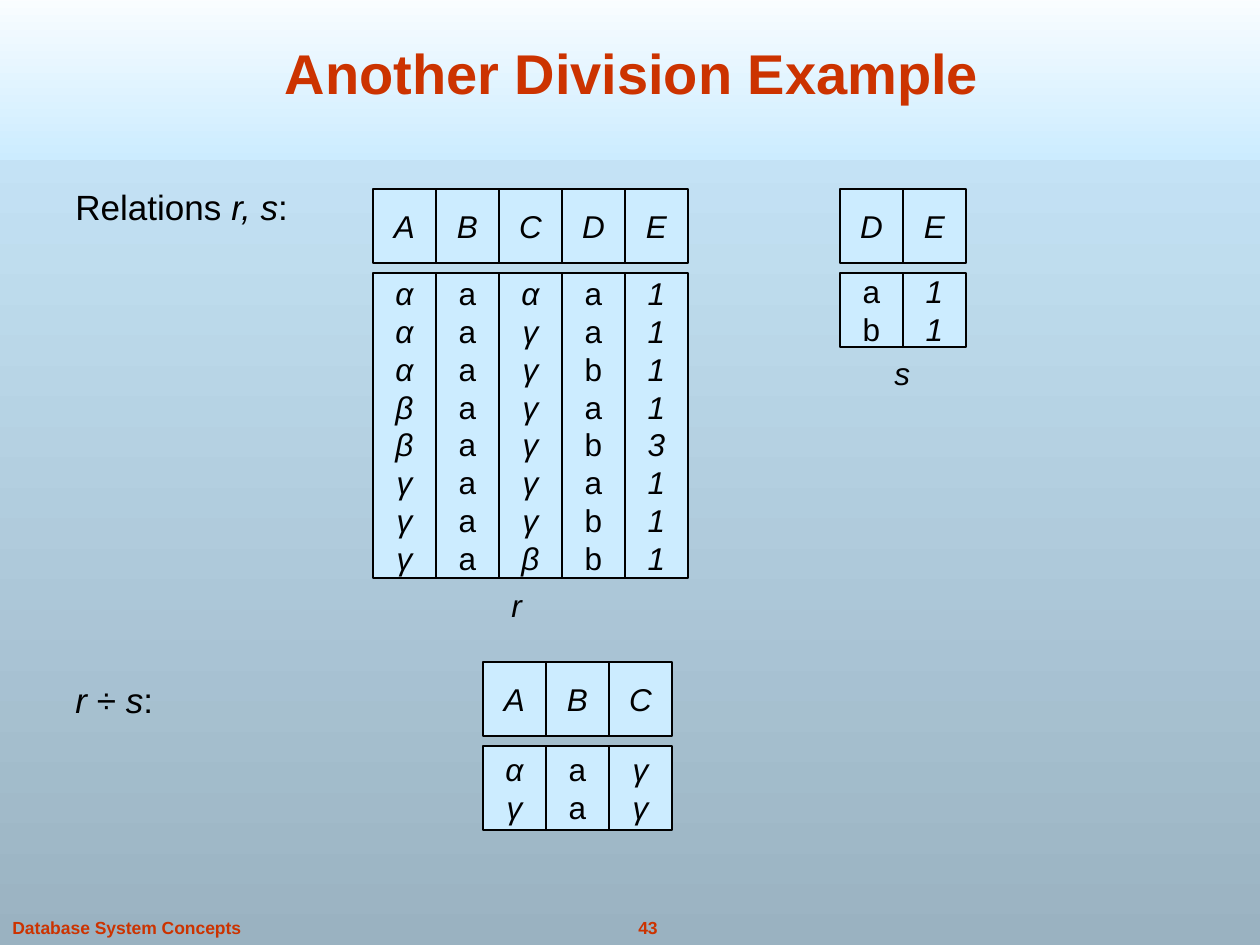
from pptx import Presentation
from pptx import util as u
from pptx.dml.color import RGBColor
from pptx.enum import shapes, text

PX_PER_INCH = 126
FONT = "Arial"
RED, BLACK, WHITE = "CC3300", "000000", "FFFFFF"
PALE_BLUE, SLATE = "CCECFF", "9AB2C1"
COL_W, HEAD_H, HEAD_STEP = 63, 74, 84


def px(n):
    return u.Emu(round(n * u.Inches(1) / PX_PER_INCH))


def rgb(value):
    return RGBColor.from_string(value)


def write(tf, lines, size=18, color=BLACK, bold=False, align="LEFT",
          anchor="TOP", wrap=False):
    """Fill a text frame, one paragraph per line; *stars* enclose italics."""
    tf.word_wrap = wrap
    tf.vertical_anchor = getattr(text.MSO_ANCHOR, anchor)
    for i, line in enumerate(lines):
        p = tf.paragraphs[0] if i == 0 else tf.add_paragraph()
        p.alignment = getattr(text.PP_ALIGN, align)
        for j, part in enumerate(line.split("*")):
            if not part:
                continue
            r = p.add_run()
            r.text = part
            r.font.name = FONT
            r.font.size = u.Pt(size)
            r.font.bold = bold
            r.font.italic = j % 2 == 1
            r.font.color.rgb = rgb(color)


def add_text(s, line, x, y, w, h, **fmt):
    box = s.shapes.add_textbox(px(x), px(y), px(w), px(h))
    write(box.text_frame, [line], **fmt)


def add_rect(s, x, y, w, h):
    sp = s.shapes.add_shape(shapes.MSO_SHAPE.RECTANGLE,
                            px(x), px(y), px(w), px(h))
    sp.shadow.inherit = False
    return sp


def fill_down(fill, top, bottom):
    """Vertical gradient from top to bottom."""
    fill.gradient()
    fill.gradient_angle = 270
    for stop, color in zip(fill.gradient_stops, (top, bottom)):
        stop.color.rgb = rgb(color)


def add_cell(s, values, x, y, h):
    sp = add_rect(s, x, y, COL_W, h)
    sp.fill.solid()
    sp.fill.fore_color.rgb = rgb(PALE_BLUE)
    sp.line.color.rgb = rgb(BLACK)
    sp.line.width = u.Pt(0.75)
    # Only the plain attribute values a and b are upright.
    lines = [v if v in "ab" else f"*{v}*" for v in values]
    write(sp.text_frame, lines, align="CENTER", anchor="MIDDLE")


def add_relation(s, columns, x, y, body_h):
    """Draw a relation from (attribute, values) pairs."""
    for i, (name, values) in enumerate(columns):
        left = x + i * COL_W
        add_cell(s, name, left, y, HEAD_H)
        add_cell(s, values, left, y + HEAD_STEP, body_h)


def main():
    prs = Presentation()
    prs.slide_width, prs.slide_height = px(1260), px(945)
    s = prs.slides.add_slide(prs.slide_layouts[6])
    fill_down(s.background.fill, PALE_BLUE, SLATE)

    band = add_rect(s, 0, -21, 1260, 181)
    fill_down(band.fill, WHITE, PALE_BLUE)
    band.line.fill.background()

    footer = dict(size=10, color=RED, bold=True)
    add_text(s, "43", 593, 911, 110, 34, align="CENTER", **footer)
    add_text(s, "Database System Concepts", 0, 911, 270, 34, **footer)
    add_text(s, "Another Division Example", 76, 28, 1112, 84, size=32,
             color=RED, bold=True, align="CENTER", anchor="BOTTOM", wrap=True)

    add_text(s, "Relations *r, s*:", 63, 179, 294, 45, size=20, wrap=True)
    add_text(s, "*r *÷ *s*:", 63, 672, 179, 45, size=20, wrap=True)

    add_relation(s, [("A", "αααββγγγ"), ("B", "aaaaaaaa"), ("C", "αγγγγγγβ"),
                     ("D", "aabababb"), ("E", "11113111")], 373, 189, 305)
    add_relation(s, [("D", "ab"), ("E", "11")], 840, 189, 74)
    add_relation(s, [("A", "αγ"), ("B", "aa"), ("C", "γγ")], 483, 662, 84)

    label = dict(align="CENTER", anchor="MIDDLE")
    add_text(s, "*r*", 499, 580, 35, 50, **label)
    add_text(s, "*s*", 882, 348, 40, 50, **label)

    prs.save("out.pptx")


if __name__ == "__main__":
    main()
